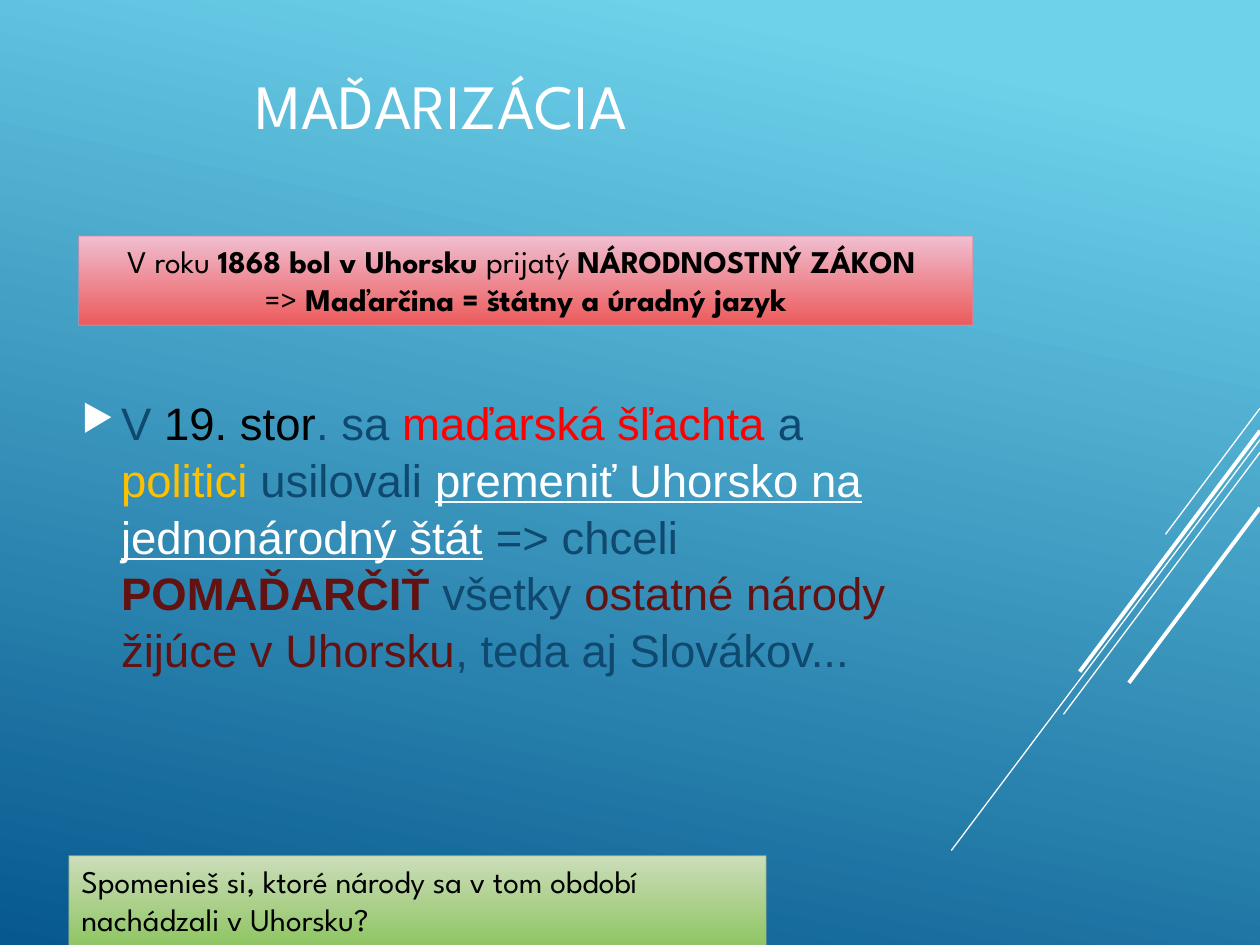
from dataclasses import dataclass
from typing import NamedTuple

from lxml.etree import SubElement
from pptx import Presentation
from pptx.dml.color import RGBColor
from pptx.dml.fill import FillFormat
from pptx.enum.shapes import MSO_CONNECTOR, MSO_SHAPE
from pptx.enum.text import MSO_ANCHOR, MSO_AUTO_SIZE, PP_ALIGN
from pptx.oxml.ns import qn
from pptx.slide import Slide
from pptx.text.text import _Paragraph
from pptx.util import Pt


@dataclass(frozen=True)
class Theme:
    """Colours, fonts and type sizes of the slide."""

    white: str = "FFFFFF"
    black: str = "000000"
    navy: str = "0F496F"
    red: str = "FF0000"
    amber: str = "FFC000"
    maroon: str = "631212"
    sky: tuple = ("6ED2EB", "06588E")
    rose: tuple = ("F0BED0", "EC5A5B")
    rose_edge: str = "D68BA6"
    green: tuple = ("CCDDBA", "8FC563")
    green_edge: str = "A4BB8B"
    heading_font: str = "League Spartan"
    body_font: str = "Arial"
    title_size: int = 36
    body_size: int = 26
    note_size: int = 18


THEME = Theme()


class Span(NamedTuple):
    """A stretch of text with one look."""

    text: str
    color: str = THEME.black
    bold: bool = False
    underline: bool = False


class Ray(NamedTuple):
    """A decorative line running in from the right edge."""

    top: float
    end_x: float
    end_y: float
    width: float


class Note(NamedTuple):
    """A gradient box with lines of text."""

    box: tuple
    gradient: tuple
    edge: str
    align: PP_ALIGN
    lines: tuple


RAYS = (
    Ray(233.3, 666, 305.3, 0.75),
    Ray(251.3, 543.6, 486, 0.75),
    Ray(258.5, 607.7, 408.2, 0.75),
    Ray(246.2, 617, 383.8, 2.25),
    Ray(290.2, 645.1, 390.2, 2.25),
)

BODY = (
    Span("V ", THEME.navy),
    Span("19. stor"),
    Span(". sa ", THEME.navy),
    Span("maďarská šľachta ", THEME.red),
    Span("a ", THEME.navy),
    Span("politici", THEME.amber),
    Span(" usilovali ", THEME.navy),
    Span("premeniť Uhorsko na jednonárodný štát", THEME.white, underline=True),
    Span(" => chceli ", THEME.navy),
    Span("POMAĎARČIŤ", THEME.maroon, bold=True),
    Span(" všetky ", THEME.navy),
    Span("ostatné národy žijúce v Uhorsku", THEME.maroon),
    Span(", teda aj Slovákov...", THEME.navy),
)

NOTES = (
    Note((44.9, 134.9, 511, 51), THEME.rose, THEME.rose_edge, PP_ALIGN.CENTER, (
        (Span("V roku "), Span("1868 bol v Uhorsku ", bold=True),
         Span("prijatý "), Span("NÁRODNOSTNÝ ZÁKON ", bold=True)),
        (Span("=> "), Span("Maďarčina = štátny a úradný jazyk", bold=True)),
    )),
    Note((39.4, 489, 398.3, 51), THEME.green, THEME.green_edge, PP_ALIGN.LEFT, (
        (Span("Spomenieš si, ktoré národy sa v tom období"),),
        (Span("nachádzali v Uhorsku?"),),
    )),
)


def paint_gradient(fill: FillFormat, colors: tuple, start: float, angle: float) -> None:
    """Fill with two colours; the angle runs counter-clockwise."""
    fill.gradient()
    fill.gradient_angle = angle
    for stop, color, position in zip(fill.gradient_stops, colors, (start, 1)):
        stop.color.rgb = RGBColor.from_string(color)
        stop.position = position


def write_spans(paragraph: _Paragraph, spans: tuple, font: str, size: float) -> None:
    """Write spans into a paragraph with a common font and size."""
    paragraph.font.name = font
    paragraph.font.size = Pt(size)
    for span in spans:
        run = paragraph.add_run()
        run.text = span.text
        run.font.color.rgb = RGBColor.from_string(span.color)
        run.font.bold = span.bold
        run.font.underline = span.underline


def add_ray(slide: Slide, ray: Ray) -> None:
    """Draw a white line from the right edge."""
    connector = slide.shapes.add_connector(
        MSO_CONNECTOR.STRAIGHT, Pt(720), Pt(ray.top), Pt(ray.end_x), Pt(ray.end_y))
    connector.line.color.rgb = RGBColor.from_string(THEME.white)
    connector.line.width = Pt(ray.width)
    SubElement(connector.element.spPr, qn("a:effectLst"))


def add_title(slide: Slide) -> None:
    """Place and format the title."""
    title = slide.shapes.title
    title.left, title.top, title.width, title.height = Pt(0), Pt(0), Pt(504), Pt(118.8)
    title.text_frame.vertical_anchor = MSO_ANCHOR.MIDDLE
    paragraph = title.text_frame.paragraphs[0]
    paragraph.alignment = PP_ALIGN.CENTER
    write_spans(paragraph, (Span("MAĎARIZÁCIA", THEME.white),),
                THEME.heading_font, THEME.title_size)


def add_body(slide: Slide) -> None:
    """Add the bulleted paragraph."""
    frame = slide.shapes.add_textbox(Pt(39.6), Pt(163.4), Pt(504), Pt(284.4)).text_frame
    frame.word_wrap = True
    frame.vertical_anchor = MSO_ANCHOR.MIDDLE
    paragraph = frame.paragraphs[0]
    paragraph.line_spacing = 1.04
    paragraph.space_after = Pt(6)
    properties = paragraph._p.get_or_add_pPr()
    properties.set("marL", str(Pt(22.5)))
    properties.set("indent", str(Pt(-22.5)))
    bullet_color = SubElement(properties, qn("a:buClr"))
    SubElement(bullet_color, qn("a:srgbClr"), val=THEME.white)
    SubElement(properties, qn("a:buSzPct"), val="80000")
    SubElement(properties, qn("a:buChar"), char="▶")
    write_spans(paragraph, BODY, THEME.body_font, THEME.body_size)


def add_note(slide: Slide, note: Note) -> None:
    """Add a gradient box with its lines of text."""
    shape = slide.shapes.add_shape(MSO_SHAPE.RECTANGLE, *map(Pt, note.box))
    shape.shadow.inherit = False
    paint_gradient(shape.fill, note.gradient, 0, 270)
    shape.line.color.rgb = RGBColor.from_string(note.edge)
    shape.line.width = Pt(0.75)
    edge_color = shape.element.spPr.find(f"{qn('a:ln')}//{qn('a:srgbClr')}")
    SubElement(edge_color, qn("a:alpha"), val="60000")
    frame = shape.text_frame
    frame.word_wrap = False
    frame.auto_size = MSO_AUTO_SIZE.SHAPE_TO_FIT_TEXT
    frame.vertical_anchor = MSO_ANCHOR.TOP
    for index, spans in enumerate(note.lines):
        paragraph = frame.add_paragraph() if index else frame.paragraphs[0]
        paragraph.alignment = note.align
        write_spans(paragraph, spans, THEME.heading_font, THEME.note_size)


def main() -> None:
    """Build and save the presentation."""
    presentation = Presentation()
    presentation.slide_width, presentation.slide_height = Pt(720), Pt(540)
    slide = presentation.slides.add_slide(presentation.slide_layouts[5])
    paint_gradient(slide.background.fill, THEME.sky, 0.1, 258)
    for ray in RAYS:
        add_ray(slide, ray)
    add_title(slide)
    add_body(slide)
    for note in NOTES:
        add_note(slide, note)
    presentation.save("out.pptx")


if __name__ == "__main__":
    main()
